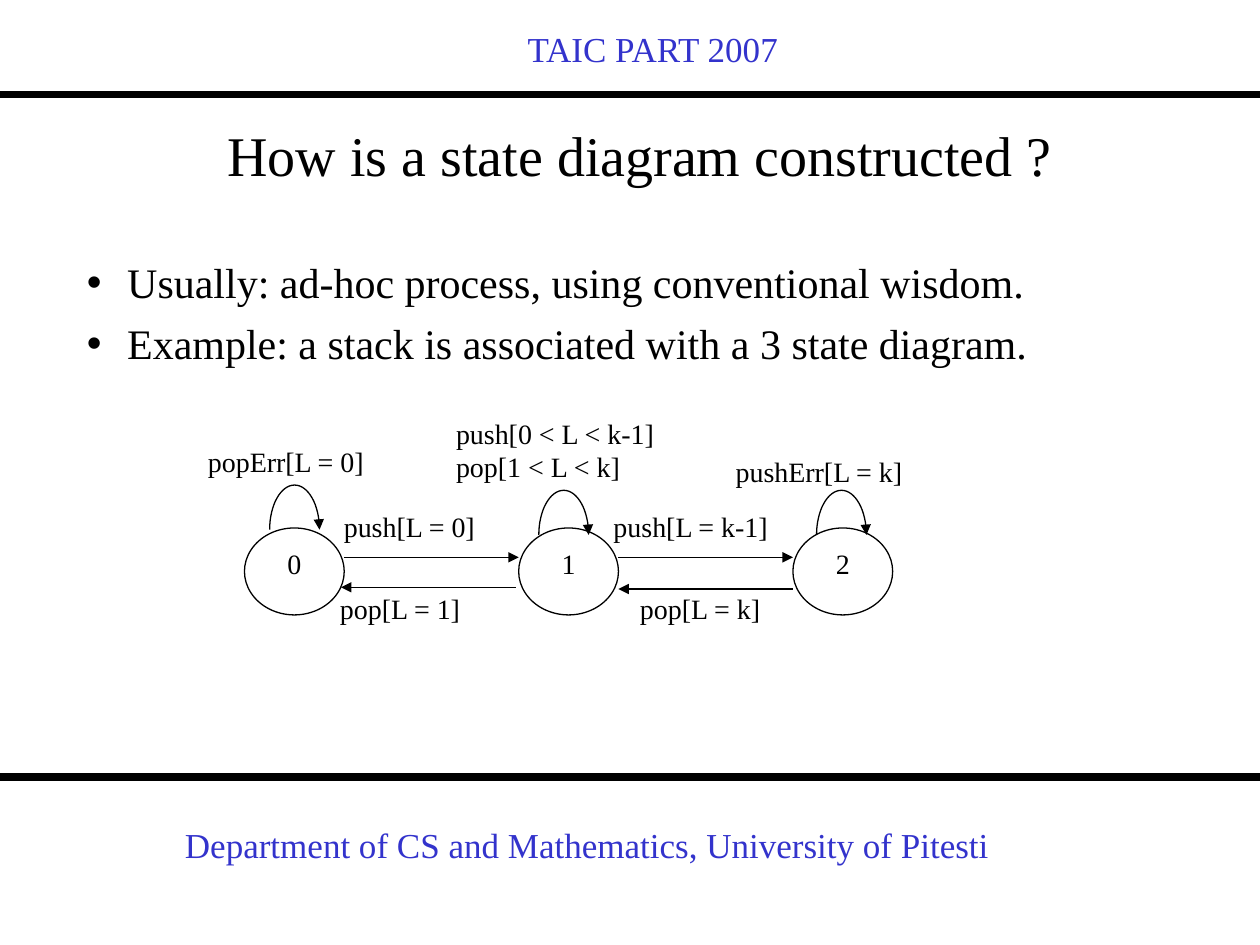
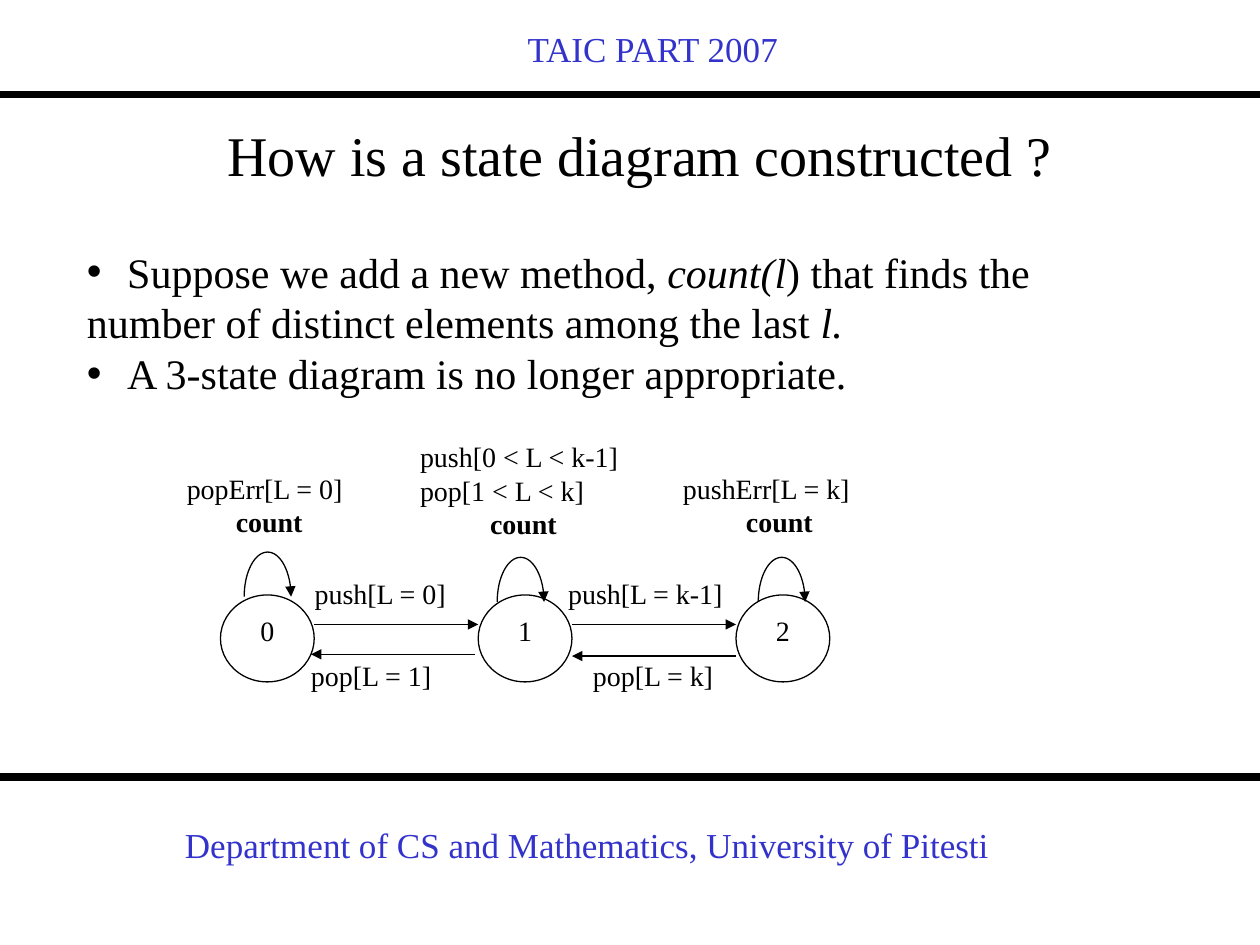
import math
from dataclasses import dataclass

from lxml import etree
from pptx import Presentation
from pptx import util as u
from pptx.dml.color import RGBColor
from pptx.enum import shapes, text
from pptx.oxml import ns


@dataclass(frozen=True)
class Theme:
    font: str = "Times New Roman"
    ink: RGBColor = RGBColor(0, 0, 0)
    paper: RGBColor = RGBColor(255, 255, 255)
    accent: RGBColor = RGBColor(0x33, 0x33, 0xCC)
    title_size: float = 32
    body_size: float = 24
    band_size: float = 20
    label_size: float = 16
    body_leading: float = 28.9
    label_leading: float = 19
    band_line: float = 4.5
    thin_line: float = 0.75


def add_span(para, content, *, font, size, color, bold=False, italic=False):
    span = para.add_run()
    span.text = content
    span.font.name = font
    span.font.size = u.Pt(size)
    span.font.color.rgb = color
    span.font.bold = bold
    span.font.italic = italic


def set_indent(para, left, first=0, bullet=None):
    """Set the left margin and first-line offset, with a bullet or none."""
    props = para._p.get_or_add_pPr()
    props.set("marL", str(u.Pt(left)))
    props.set("indent", str(u.Pt(first)))
    mark = etree.SubElement(props, ns.qn("a:buChar" if bullet else "a:buNone"))
    if bullet:
        mark.set("char", bullet)


def points(*lengths):
    return [u.Pt(round(length, 2)) for length in lengths]


class Sketch:
    """Draws on the current slide in the style of one theme."""

    def __init__(self, deck, theme):
        self.deck, self.theme, self.slide = deck, theme, None

    def start_slide(self, title):
        theme = self.theme
        self.slide = self.deck.slides.add_slide(self.deck.slide_layouts[1])
        frame = self.place(self.slide.shapes.title, 42.5, 65.5, 646.5, 48)
        para = frame.paragraphs[0]
        para.alignment = text.PP_ALIGN.CENTER
        self.styled_span(para, title, theme.title_size)
        for y in (54, 444):
            self.line(0, y, 720, y, theme.band_line)
        self.band_text("TAIC PART 2007", 190, 12.2, 366,
                       text.PP_ALIGN.CENTER)
        self.band_text("Department of CS and Mathematics, University of Pitesti",
                       98.6, 467.3, 522, text.PP_ALIGN.LEFT)

    def place(self, box, left, top, width, height):
        """Move a box, give its text frame common settings and return it."""
        box.left, box.top, box.width, box.height = points(
            left, top, width, height)
        return self.prepare(box.text_frame)

    def prepare(self, frame):
        frame.word_wrap = True
        frame.auto_size = text.MSO_AUTO_SIZE.NONE
        frame.vertical_anchor = text.MSO_ANCHOR.TOP
        frame.margin_left = frame.margin_right = u.Pt(7.2)
        frame.margin_top = frame.margin_bottom = u.Pt(3.6)
        return frame

    def styled_span(self, para, content, size, color=None, **style):
        add_span(para, content, font=self.theme.font, size=size,
                 color=color or self.theme.ink, **style)

    def band_text(self, content, left, top, width, alignment):
        box = self.slide.shapes.add_textbox(*points(left, top, width, 36))
        para = self.prepare(box.text_frame).paragraphs[0]
        para.alignment = alignment
        self.styled_span(para, content, self.theme.band_size,
                         self.theme.accent)

    def body(self, items, top, gap=0):
        """Fill the body with (bulleted, spans) items; a span is (text, italic)."""
        theme = self.theme
        frame = self.place(self.slide.placeholders[1], 42.5, top, 646.5, 100)
        for index, (bulleted, spans) in enumerate(items):
            para = frame.add_paragraph() if index else frame.paragraphs[0]
            para.line_spacing = u.Pt(theme.body_leading)
            para.space_before = u.Pt(gap if index else 0)
            if bulleted:
                set_indent(para, 23, -23, "•")
            else:
                set_indent(para, 0)
            for content, italic in spans:
                self.styled_span(para, content, theme.body_size, italic=italic)

    def line(self, x1, y1, x2, y2, weight, arrow=False):
        line = self.slide.shapes.add_connector(
            shapes.MSO_CONNECTOR.STRAIGHT, *points(x1, y1, x2, y2))
        self.outline(line, weight, arrow)
        etree.SubElement(line._element.spPr, ns.qn("a:effectLst"))

    def outline(self, shape, weight, arrow=False):
        shape.line.color.rgb = self.theme.ink
        shape.line.width = u.Pt(weight)
        if arrow:
            etree.SubElement(shape.line._get_or_add_ln(),
                             ns.qn("a:tailEnd"), type="triangle")

    def filled_shape(self, kind, left, top, width, height):
        shape = self.slide.shapes.add_shape(
            kind, *points(left, top, width, height))
        shape.shadow.inherit = False
        shape.fill.solid()
        shape.fill.fore_color.rgb = self.theme.paper
        self.prepare(shape.text_frame)
        return shape

    def label(self, lines, left, top, width, height, count_indent=None):
        """White label; count_indent adds a bold, indented count line."""
        box = self.filled_shape(shapes.MSO_SHAPE.RECTANGLE,
                                left, top, width, height)
        box.line.fill.background()
        rows = [(line, 0, False) for line in lines]
        if count_indent is not None:
            rows.append(("count", count_indent, True))
        for index, (content, indent, bold) in enumerate(rows):
            frame = box.text_frame
            para = frame.add_paragraph() if index else frame.paragraphs[0]
            para.alignment = text.PP_ALIGN.LEFT
            para.line_spacing = u.Pt(self.theme.label_leading)
            set_indent(para, indent)
            self.styled_span(para, content, self.theme.label_size, bold=bold)

    def state(self, name, left, top, width, height):
        oval = self.filled_shape(shapes.MSO_SHAPE.OVAL,
                                 left, top, width, height)
        self.outline(oval, self.theme.thin_line)
        para = oval.text_frame.paragraphs[0]
        para.alignment = text.PP_ALIGN.CENTER
        para.line_spacing = u.Pt(self.theme.label_leading)
        self.styled_span(para, name, self.theme.label_size)

    def loop(self, left, base, width, height, steps=32):
        """Half-ellipse arrow that runs clockwise above its base."""
        angles = [math.pi * (1 - step / steps) for step in range(steps + 1)]
        curve = [points(left + width / 2 * (1 + math.cos(angle)),
                        base - height * math.sin(angle)) for angle in angles]
        builder = self.slide.shapes.build_freeform(*curve[0])
        builder.add_line_segments(curve[1:], close=False)
        arc = builder.convert_to_shape()
        arc.shadow.inherit = False
        arc.fill.background()
        self.outline(arc, self.theme.thin_line, arrow=True)

    def stack_diagram(self, left, top, stretch, loop_labels, with_count=False):
        """Three states; loop_labels gives (rise above states, height) of each."""
        def across(x):
            return left + x * stretch

        texts = [["popErr[L = 0]"],
                 ["push[0 < L < k-1]", "pop[1 < L < k]"],
                 ["pushErr[L = k]"]]
        spans = [(-28, 146), (113.8, 171.4), (273.6, 139.7)]
        indents = (28, 40, 36) if with_count else (None,) * 3
        for index in (1, 2, 0):
            (x, width), (rise, height) = spans[index], loop_labels[index]
            self.label(texts[index], across(x), top - rise, width * stretch,
                       height, indents[index])
        for content, x, y, width in (("pop[L = k]", 218.9, 33.1, 109.4),
                                     ("pop[L = 1]", 47.5, 33.1, 124),
                                     ("push[L = 0]", 49.7, -13.7, 128),
                                     ("push[L = k-1]", 203.8, -13.7, 128)):
            self.label([content], across(x), top + y, width * stretch, 36)

        step, size = 156.7, 57
        for index in range(3):
            self.state(str(index), across(index * step), top,
                       size * stretch, 49.7)
        for index, (x, base) in enumerate(((14.4, 1), (11.5, 4), (13.5, 4))):
            self.loop(across(index * step + x), top + base,
                      28.5 * stretch, 25.5)
        for index, (shift, y) in enumerate(((-1.8, 33.9), (0, 34.9))):
            start = across(index * step + size)
            end = across((index + 1) * step)
            self.line(start, top + 16.8, end, top + 16.8,
                      self.theme.thin_line, arrow=True)
            self.line(end + shift, top + y, start + shift, top + y,
                      self.theme.thin_line, arrow=True)


def main():
    deck = Presentation()
    deck.slide_width, deck.slide_height = u.Pt(720), u.Pt(540)
    sketch = Sketch(deck, Theme())
    title = "How is a state diagram constructed ?"

    sketch.start_slide(title)
    sketch.body([
        (True, [("Usually: ad-hoc process, using conventional wisdom.", False)]),
        (True, [("Example: a stack is associated with a 3 state diagram.",
                 False)]),
    ], top=143, gap=6)
    sketch.stack_diagram(139.7, 301.7, 1, [(51, 45), (67, 79), (45.4, 30)])

    sketch.start_slide(title)
    sketch.body([
        (True, [("Suppose we add a new method, ", False), ("count(l", True),
                (") that finds the", False)]),
        (False, [("number of distinct elements among the last ", False),
                 ("l.", True)]),
        (True, [("A 3-state diagram is no longer appropriate.", False)]),
    ], top=137)
    sketch.stack_diagram(126, 340, 0.94, [(74, 68), (92, 79), (74, 59)],
                         with_count=True)
    deck.save("out.pptx")


if __name__ == "__main__":
    main()
